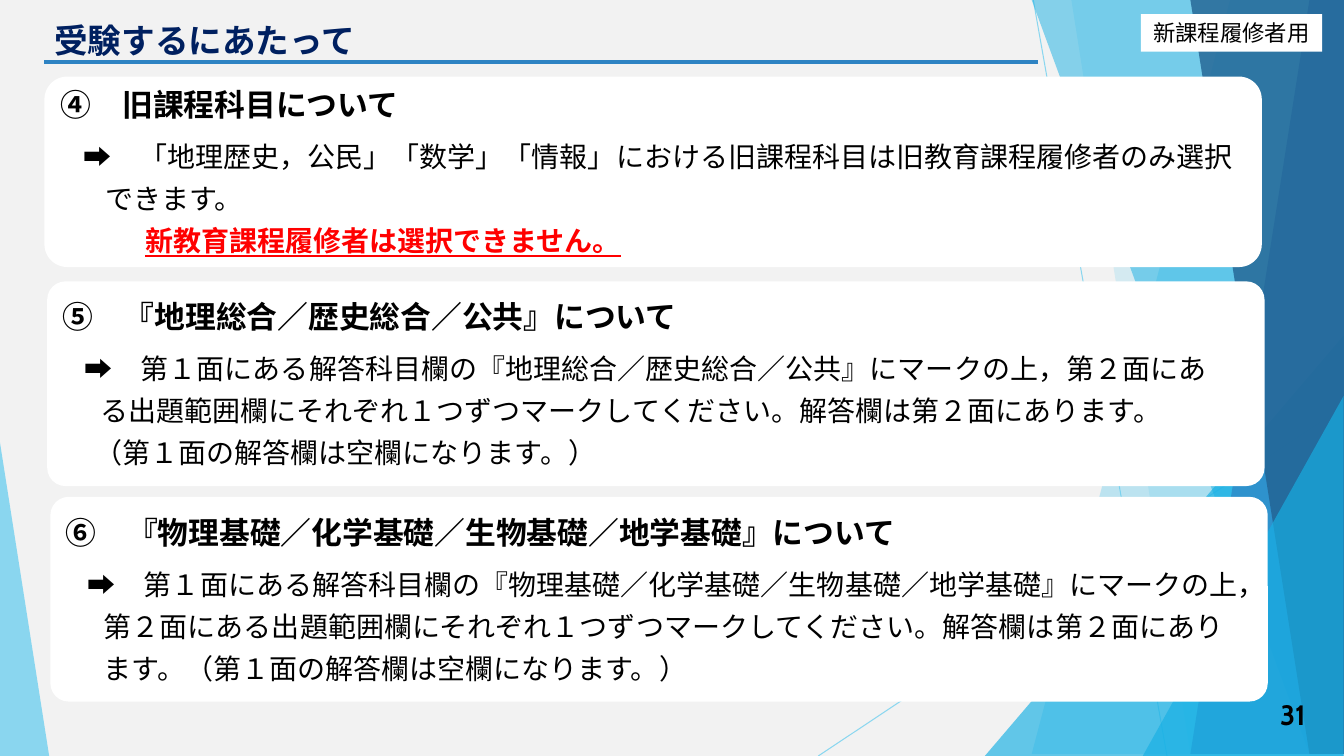
"""Build the slide on old-curriculum and combined exam subjects."""
from lxml import etree
from pptx import Presentation
from pptx import util as u
from pptx.dml.color import RGBColor
from pptx.enum import shapes, text
from pptx.oxml import ns

WIDTH, HEIGHT = 33.87, 19.05
SKY, CYAN, BLUE, NAVY = "5FCBEF", "17B0E4", "2E83C3", "226292"
HEADING = {"size": u.Pt(22), "bold": True}
BODY = {"size": u.Pt(20), "bold": False}
WARNING = {"size": u.Pt(20), "bold": True, "underline": True}
MIDDLE = text.MSO_ANCHOR.MIDDLE


def paint(fill, color, alpha=100):
    """Give a fill a solid colour and an opacity in percent."""
    fill.solid()
    fill.fore_color.rgb = RGBColor.from_string(color)
    if alpha < 100:
        for solid in fill._xPr.iter(ns.qn("a:srgbClr")):
            etree.SubElement(solid, ns.qn("a:alpha")).set("val", str(alpha * 1000))


def finish(shape, color, alpha=100):
    """Leave a shape with its fill alone."""
    shape.shadow.inherit = False
    shape.line.fill.background()
    paint(shape.fill, color, alpha)
    return shape


def add_line(slide, start, end, color, width, alpha=100):
    """Draw a straight line between two points."""
    ends = [u.Cm(value) for value in start + end]
    line = slide.shapes.add_connector(shapes.MSO_CONNECTOR.STRAIGHT, *ends)
    line.line.width = u.Pt(width)
    paint(line.line.fill, color, alpha)
    etree.SubElement(line._element.spPr, ns.qn("a:effectLst"))


def add_band(slide, top_x, bottom_x, color, alpha):
    """Draw a slanted full-height band that reaches the right edge."""
    builder = slide.shapes.build_freeform(top_x, 0, scale=u.Cm(1))
    builder.add_line_segments([(WIDTH, 0), (WIDTH, HEIGHT), (bottom_x, HEIGHT)])
    finish(builder.convert_to_shape(), color, alpha)


def add_block(slide, kind, box, color, alpha=100, adjust=None):
    """Add a filled preset shape."""
    block = slide.shapes.add_shape(kind, *[u.Cm(value) for value in box])
    if adjust is not None:
        block.adjustments[0] = adjust
    return finish(block, color, alpha)


def write(paragraph, words, formats, color="000000", align=text.PP_ALIGN.LEFT):
    """Fill a paragraph with one formatted run."""
    paragraph.alignment = align
    run = paragraph.add_run()
    run.text = words
    for name, value in {"name": "Cabin", **formats}.items():
        setattr(run.font, name, value)
    run.font.color.rgb = RGBColor.from_string(color)


def add_label(slide, box, words, formats, color, align, anchor):
    """Add a text box with a single line."""
    label = slide.shapes.add_textbox(*[u.Cm(value) for value in box])
    label.text_frame.word_wrap = True
    label.text_frame.vertical_anchor = anchor
    write(label.text_frame.paragraphs[0], words, formats, color, align)


def add_card(slide, box, corner, lines):
    """Add a rounded card; each line is indent, space before, words, formats, colour."""
    card = add_block(slide, shapes.MSO_SHAPE.ROUNDED_RECTANGLE, box, "FFFFFF", adjust=corner)
    frame = card.text_frame
    frame.vertical_anchor = MIDDLE
    for index, (indent, before, words, formats, color) in enumerate(lines):
        paragraph = frame.add_paragraph() if index else frame.paragraphs[0]
        paragraph._p.get_or_add_pPr().set("marL", str(u.Cm(indent)))
        paragraph.space_before = u.Pt(before)
        write(paragraph, words, formats, color)


def add_backdrop(slide):
    """Draw the blue facets along the sides."""
    triangle = shapes.MSO_SHAPE.ISOSCELES_TRIANGLE
    add_line(slide, (26.04, 0), (29.41, HEIGHT), SKY, 0.75, 70)
    add_line(slide, (WIDTH, 10.24), (20.62, HEIGHT), SKY, 0.75, 70)
    add_band(slide, 31.19, 25.5, SKY, 36)
    add_band(slide, 26.67, 30.05, SKY, 20)
    add_block(slide, triangle, (24.82, 8.46, 9.04, 10.59), CYAN, 66, 1)
    add_band(slide, 25.93, 32.79, CYAN, 50)
    add_band(slide, 33.1, 30.28, BLUE, 70)
    add_band(slide, 30.38, 33.48, NAVY, 80)
    add_block(slide, triangle, (28.8, 9.98, 5.06, 9.07), CYAN, 66, 1)
    add_block(slide, triangle, (0, 11.15, 1.24, 7.9), SKY, 70, 0)


def add_topic(slide, box, corner, heading, lead, rest):
    """Add a card with a heading, an arrow line and the lines that follow it."""
    lines = [(0, 0, heading, HEADING, "000000"), (0.56, 12, f"➡　{lead}", BODY, "000000")]
    lines += [(indent, 6, words, formats, color) for indent, words, formats, color in rest]
    add_card(slide, box, corner, lines)


def main():
    """Build and save the slide."""
    deck = Presentation()
    deck.slide_width, deck.slide_height = u.Cm(WIDTH), u.Cm(HEIGHT)
    slide = deck.slides.add_slide(deck.slide_layouts[6])
    paint(slide.background.fill, "F2F2F2")
    add_backdrop(slide)
    add_line(slide, (1.12, 1.57), (26.16, 1.57), BLUE, 3)

    audience = add_block(slide, shapes.MSO_SHAPE.RECTANGLE, (28.75, 0.36, 4.57, 0.94), "FFFFFF")
    audience.text_frame.vertical_anchor = MIDDLE
    write(audience.text_frame.paragraphs[0], "新課程履修者用", {"size": u.Pt(16)},
          align=text.PP_ALIGN.CENTER)
    add_label(slide, (31.24, 17.48, 1.91, 1.02), "31", {"size": u.Pt(20), "bold": True},
              "000000", text.PP_ALIGN.RIGHT, MIDDLE)
    add_label(slide, (1.12, 0.38, 23.88, 1.57), "受験するにあたって",
              {"size": u.Pt(24), "bold": True}, "002060", text.PP_ALIGN.LEFT,
              text.MSO_ANCHOR.TOP)

    add_topic(slide, (1.12, 1.93, 30.68, 4.8), 0.12, "④　旧課程科目について",
              "「地理歴史，公民」「数学」「情報」における旧課程科目は旧教育課程履修者のみ選択",
              [(1.11, "できます。", BODY, "000000"),
               (2.12, "新教育課程履修者は選択できません。", WARNING, "FF0000")])
    add_topic(slide, (1.19, 7.09, 30.68, 5.16), 0.09,
              "⑤　『地理総合／歴史総合／公共』について",
              "第１面にある解答科目欄の『地理総合／歴史総合／公共』にマークの上，第２面にあ",
              [(0.96, "る出題範囲欄にそれぞれ１つずつマークしてください。解答欄は第２面にあります。",
                BODY, "000000"),
               (0.8, "（第１面の解答欄は空欄になります。）", BODY, "000000")])
    add_topic(slide, (1.27, 12.52, 30.68, 5.16), 0.09,
              "⑥　『物理基礎／化学基礎／生物基礎／地学基礎』について",
              "第１面にある解答科目欄の『物理基礎／化学基礎／生物基礎／地学基礎』にマークの上，",
              [(0.96, "第２面にある出題範囲欄にそれぞれ１つずつマークしてください。解答欄は第２面にあり",
                BODY, "000000"),
               (0.96, "ます。（第１面の解答欄は空欄になります。）", BODY, "000000")])
    deck.save("out.pptx")


if __name__ == "__main__":
    main()
